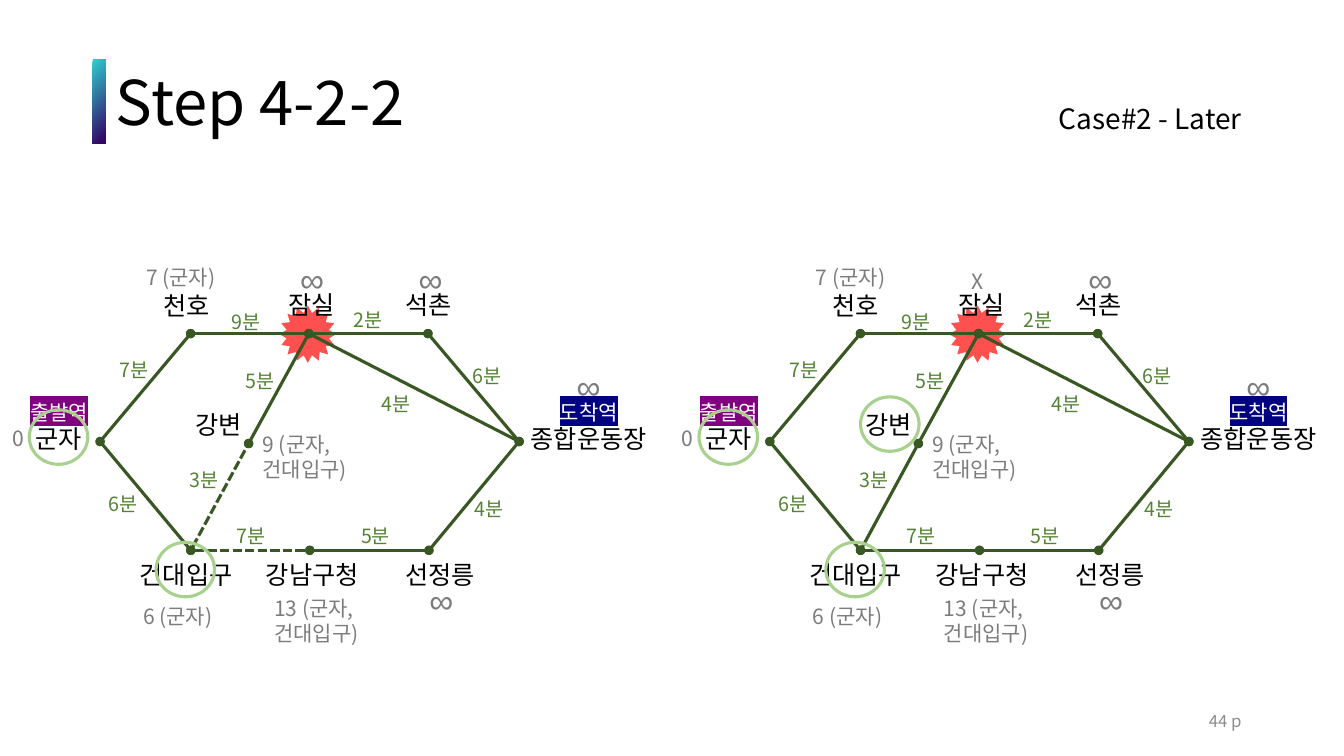
from dataclasses import dataclass

from lxml import etree
from pptx import Presentation
from pptx import util as u
from pptx.dml import color
from pptx.enum import dml, shapes, text
from pptx.oxml import ns


@dataclass(frozen=True)
class Theme:
    sans: str = "Noto Sans CJK KR"
    symbol: str = "Arial"
    black: str = "000000"
    white: str = "FFFFFF"
    edge: str = "385723"
    minutes: str = "548235"
    ring: str = "A9D18E"
    burst: str = "FF5050"
    cost: str = "7C7C7C"
    page: str = "8C8C8C"
    start: str = "800080"
    goal: str = "000080"
    bar: tuple = (("30CFD0", 0), ("330867", 0.94))
    title_size: float = 44
    case_size: float = 20
    name_size: float = 18
    cost_size: float = 15
    minutes_size: float = 14
    page_size: float = 12
    infinity_size: float = 24
    line: float = 2.25


THEME = Theme()


@dataclass(frozen=True)
class Style:
    size: float
    colour: str
    font: str = THEME.sans
    highlight: str = ""
    wrap: bool = True


NAME = Style(THEME.name_size, THEME.black, wrap=False)
START = Style(THEME.cost_size, THEME.white, highlight=THEME.start, wrap=False)
GOAL = Style(THEME.cost_size, THEME.white, highlight=THEME.goal, wrap=False)
MINUTES = Style(THEME.minutes_size, THEME.minutes)
COST = Style(THEME.cost_size, THEME.cost)
INFINITY = Style(THEME.infinity_size, THEME.cost, THEME.symbol)


@dataclass(frozen=True)
class Label:
    words: str
    left: float
    top: float
    width: float
    height: float
    style: Style


@dataclass(frozen=True)
class Panel:
    offset: float
    dashed: tuple
    circles: tuple
    jamsil_cost: Label


# Stations: x, y of the node
NODES = {
    "군자": (71.5, 315.4), "천호": (136.2, 238.3), "잠실": (220.6, 238.3),
    "석촌": (305.7, 238.3), "종합운동장": (370.8, 315.4), "건대입구": (136.3, 393.1),
    "강남구청": (221.3, 393.1), "선정릉": (306.4, 393.1), "강변": (177.6, 316.8),
}
# Station names: left, top, width
NAMES = {
    "군자": (18.4, 299.2, 47.5), "천호": (109.4, 203.8, 47.5),
    "선정릉": (282.6, 396.3, 64), "강남구청": (182.9, 396.3, 80.6),
    "종합운동장": (372, 299.2, 97.2), "석촌": (282.6, 203, 47.5),
    "잠실": (199.1, 203, 47.5), "강변": (132.5, 289.2, 47.5),
    "건대입구": (92.7, 396.3, 80.6),
}
# Edges: stations, minutes, left and top of the label
EDGES = (
    ("천호", "잠실", 9, 158.4, 217.7), ("건대입구", "강남구청", 7, 162, 370.8),
    ("강남구청", "선정릉", 5, 250.8, 370.8), ("잠실", "석촌", 2, 245.5, 216.5),
    ("군자", "천호", 7, 78.5, 252.4), ("군자", "건대입구", 6, 70.6, 347.8),
    ("선정릉", "종합운동장", 4, 331.9, 351.4), ("석촌", "종합운동장", 6, 330.5, 256.7),
    ("건대입구", "강변", 3, 128.2, 330.7), ("강변", "잠실", 5, 168.5, 259.9),
    ("잠실", "종합운동장", 4, 265.7, 276.5),
)
# Labels that both panels share
LABELS = (
    Label("출발역", 14.4, 281.5, 60, 28.8, START),
    Label("도착역", 392.8, 281.5, 60, 28.8, GOAL),
    Label("0", 1.6, 300.2, 54, 33.1, COST),
    Label("7 (군자)", 97.4, 185.5, 91.4, 25.2, COST),
    Label("6 (군자)", 95.2, 427.7, 91.4, 25.2, COST),
    Label("13 (군자,건대입구)", 188.8, 421.5, 91.4, 43.9, COST),
    Label("9 (군자,건대입구)", 180.5, 304.6, 76.3, 43.9, COST),
    *(Label("∞", left, top, 54, 46.1, INFINITY)
      for left, top in ((292, 181.4), (299.6, 410.9), (404.8, 257.8))),
)
# Circled stations: left, top
CIRCLES = {"군자": (20.9, 292.8), "건대입구": (111.5, 387.4), "강변": (136.3, 283.5)}
PANELS = (
    Panel(0, (("건대입구", "강남구청"), ("건대입구", "강변")), ("군자", "건대입구"),
          Label("∞", 207.2, 181.4, 54, 46.1, INFINITY)),
    Panel(478.4, (), ("군자", "건대입구", "강변"),
          Label("X", 208.5, 188.6, 32.4, 25.2, COST)),
)


def rgb(value: str) -> color.RGBColor:
    return color.RGBColor.from_string(value)


def apply(target, values: dict) -> None:
    for key, value in values.items():
        setattr(target, key, value)


def write(frame, words: str, style: Style, **paragraph_format) -> None:
    paragraph = frame.paragraphs[0]
    apply(paragraph, paragraph_format)
    run = paragraph.add_run()
    run.text = words
    run.font.size = u.Pt(style.size)
    run.font.color.rgb = rgb(style.colour)
    properties = run.font._element
    if style.highlight:
        mark = etree.SubElement(properties, ns.qn("a:highlight"))
        etree.SubElement(mark, ns.qn("a:srgbClr"), val=style.highlight)
    run.font.name = style.font
    etree.SubElement(properties, ns.qn("a:ea"), typeface=style.font)


def add_label(parent, label: Label, offset: float = 0, anchor=text.MSO_ANCHOR.TOP,
              **paragraph_format) -> None:
    box = parent.add_textbox(u.Pt(label.left + offset), u.Pt(label.top),
                             u.Pt(label.width), u.Pt(label.height))
    apply(box.text_frame, {"word_wrap": label.style.wrap, "vertical_anchor": anchor,
                           "auto_size": text.MSO_AUTO_SIZE.SHAPE_TO_FIT_TEXT})
    write(box.text_frame, label.words, label.style, **paragraph_format)


def add_plain(parent, kind, left: float, top: float, width: float, height: float):
    shape = parent.add_shape(kind, *map(u.Pt, (left, top, width, height)))
    shape.shadow.inherit = False
    return shape


def add_edge(parent, start: str, end: str, offset: float, dashed: bool) -> None:
    (x1, y1), (x2, y2) = NODES[start], NODES[end]
    edge = parent.add_connector(shapes.MSO_CONNECTOR.STRAIGHT, u.Pt(x1 + offset),
                                u.Pt(y1), u.Pt(x2 + offset), u.Pt(y2))
    edge.line.width = u.Pt(THEME.line)
    edge.line.color.rgb = rgb(THEME.edge)
    if dashed:
        edge.line.dash_style = dml.MSO_LINE.SQUARE_DOT
    for tag in ("a:headEnd", "a:tailEnd"):
        etree.SubElement(edge.line._get_or_add_ln(), ns.qn(tag), type="oval")
    etree.SubElement(edge._element.spPr, ns.qn("a:effectLst"))


def add_panel(slide, panel: Panel) -> None:
    parent = slide.shapes.add_group_shape().shapes
    # Closed station
    burst = add_plain(parent, shapes.MSO_SHAPE.STAR_16_POINT,
                      199.4 + panel.offset, 218.2, 41, 41)
    burst.fill.solid()
    burst.fill.fore_color.rgb = rgb(THEME.burst)
    burst.line.fill.background()
    # Network
    for start, end, *_ in EDGES:
        add_edge(parent, start, end, panel.offset, (start, end) in panel.dashed)
    for name, (left, top, width) in NAMES.items():
        add_label(parent, Label(name, left, top, width, 33.1, NAME), panel.offset)
    for _, _, minutes, left, top in EDGES:
        add_label(parent, Label(f"{minutes}분", left, top, 36, 27.4, MINUTES),
                  panel.offset)
    for label in (*LABELS, panel.jamsil_cost):
        add_label(parent, label, panel.offset)
    # Visited stations
    for name in panel.circles:
        left, top = CIRCLES[name]
        ring = add_plain(parent, shapes.MSO_SHAPE.OVAL, left + panel.offset, top, 41.8, 38.9)
        ring.fill.background()
        ring.line.color.rgb = rgb(THEME.ring)
        ring.line.width = u.Pt(THEME.line)


def main() -> None:
    deck = Presentation()
    apply(deck, {"slide_width": u.Pt(960), "slide_height": u.Pt(540)})
    slide = deck.slides.add_slide(deck.slide_layouts[5])

    # Title with its accent bar
    bar = add_plain(slide.shapes, shapes.MSO_SHAPE.RECTANGLE, 66.2, 42.5, 9.4, 59.8)
    bar.fill.gradient()
    bar.fill.gradient_angle = 315
    for stop, (colour, position) in zip(bar.fill.gradient_stops, THEME.bar):
        stop.color.rgb = rgb(colour)
        stop.position = position
    bar.line.fill.background()
    title = slide.shapes.title
    apply(title, {"left": u.Pt(75.6), "top": u.Pt(36.7),
                  "width": u.Pt(312.5), "height": u.Pt(77.8)})
    apply(title.text_frame, {"vertical_anchor": text.MSO_ANCHOR.MIDDLE, "word_wrap": True})
    write(title.text_frame, "Step 4-2-2", Style(THEME.title_size, THEME.black),
          alignment=text.PP_ALIGN.LEFT, line_spacing=0.9)
    add_label(slide.shapes, Label("Case#2 - Later", 699.8, 72, 194.4, 33.1,
                                  Style(THEME.case_size, THEME.black)),
              alignment=text.PP_ALIGN.RIGHT, line_spacing=0.9)

    # Two states of the network
    for panel in PANELS:
        add_panel(slide, panel)

    # Page number
    add_label(slide.shapes, Label("44 p", 678, 500.4, 216, 28.8,
                                  Style(THEME.page_size, THEME.page)),
              anchor=text.MSO_ANCHOR.MIDDLE, alignment=text.PP_ALIGN.RIGHT)
    deck.save("out.pptx")


if __name__ == "__main__":
    main()
